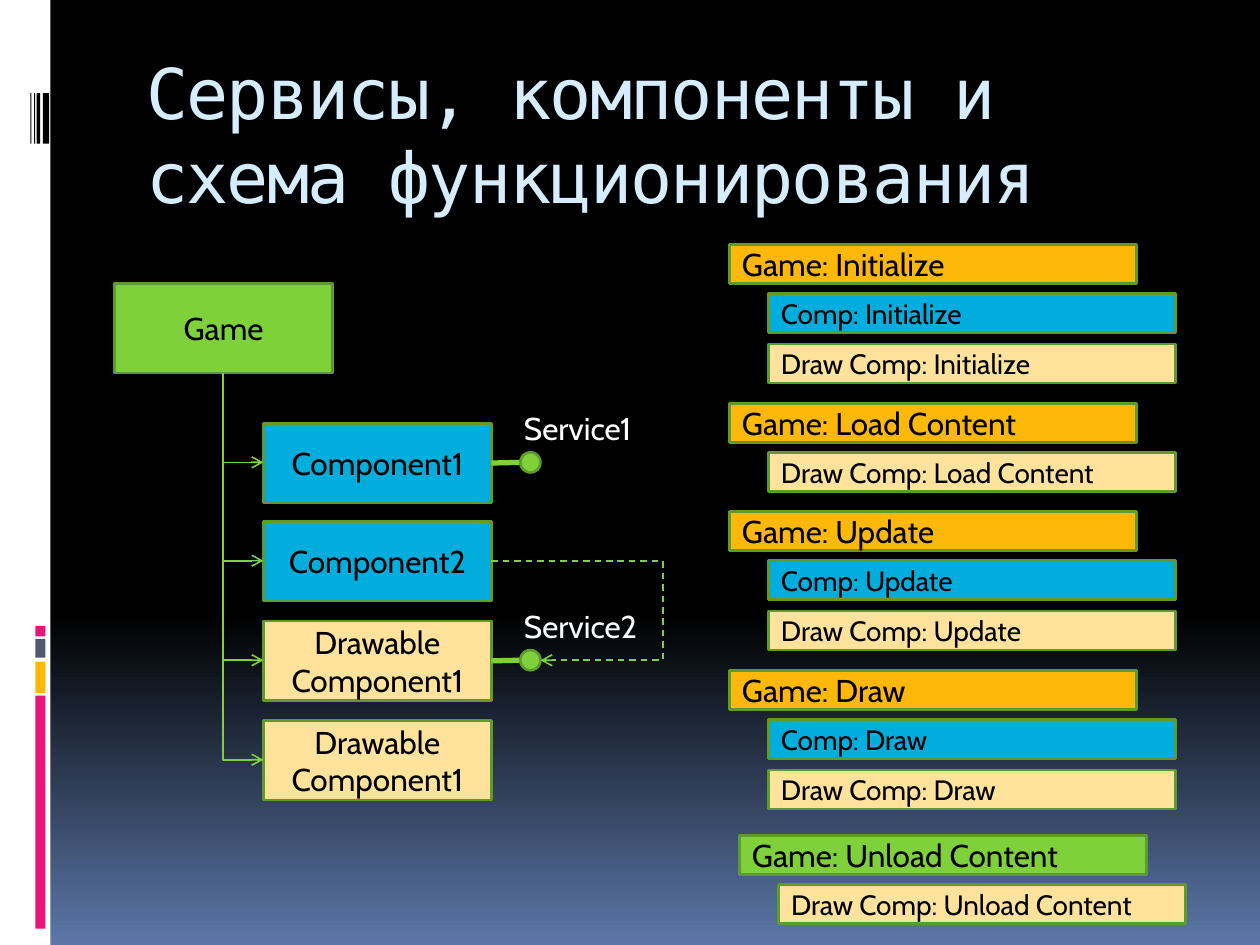
from copy import deepcopy

from lxml.etree import SubElement
from pptx import Presentation
from pptx.dml.color import RGBColor
from pptx.enum.dml import MSO_LINE
from pptx.enum.shapes import MSO_CONNECTOR as LINK, MSO_SHAPE as SHAPE
from pptx.enum.text import MSO_ANCHOR as ANCHOR, PP_ALIGN as ALIGN
from pptx.oxml.ns import qn
from pptx.util import Pt

PX = 9144  # 100 px to the inch
COLORS = {
    "white": "FFFFFF", "black": "000000", "sky": "5B77A8", "title": "D6ECFF",
    "pink": "EA157A", "amber": "FEB80A", "slate": "4E5B6F", "green": "7FD13B",
    "outline": "5E9B2C", "blue": "00ADDC", "cream": "FFE39D",
}


def color(name):
    return RGBColor.from_string(COLORS[name])


def write(shape, text, font="Cabin", size=18, ink="black", align=ALIGN.LEFT,
          anchor=ANCHOR.MIDDLE, spacing=None):
    frame = shape.text_frame
    frame.word_wrap = True
    frame.vertical_anchor = anchor
    frame.text = text
    for para in frame.paragraphs:
        para.alignment = align
        for span in para.runs:
            span.font.name = font
            span.font.size = Pt(size)
            span.font.color.rgb = color(ink)
            if spacing is not None:
                span.font._element.set("spc", str(spacing))


def add_block(page, left, top, width, height, fill, kind=SHAPE.RECTANGLE, line="outline"):
    block = page.shapes.add_shape(kind, left * PX, top * PX, width * PX, height * PX)
    block.shadow.inherit = False
    block.fill.solid()
    block.fill.fore_color.rgb = color(fill)
    if line:
        block.line.color.rgb = color(line)
        block.line.width = Pt(1.5)
    else:
        block.line.fill.background()
    return block


def add_link(page, start, end, kind=LINK.STRAIGHT, width=0.94, bend=None, dash=None):
    """Draw a link; bend is the place of an elbow's turn, in 1/1000 % of its width."""
    link = page.shapes.add_connector(kind, *(value * PX for value in (*start, *end)))
    link.line.color.rgb = color("green")
    link.line.width = Pt(width)
    if dash:
        link.line.dash_style = dash
    properties = link._element.spPr
    if bend is not None:
        guides = properties.find(qn("a:prstGeom")).get_or_add_avLst()
        SubElement(guides, qn("a:gd"), name="adj1", fmla=f"val {bend}")
        SubElement(properties.find(qn("a:ln")), qn("a:tailEnd"), type="arrow")
    SubElement(properties, qn("a:effectLst"))
    return link


def paint_background(page):
    fill = page.background.fill
    fill.gradient()
    fill.gradient_angle = 270
    first, last = fill.gradient_stops
    first.color.rgb, first.position = color("black"), 0
    last.color.rgb, last.position = color("sky"), 1
    stops = page._element.find(".//" + qn("a:gsLst"))
    middle = deepcopy(stops[0])
    middle.set("pos", "65000")
    stops.insert(1, middle)


def add_side_strip(page, left, top, width, height):
    add_block(page, left, top, width, height, "white", line=None)
    # Coloured bars
    for y, tall, fill in ((552, 185, "pink"), (525, 25, "amber"),
                          (507, 15, "slate"), (497, 8, "pink")):
        add_block(page, left + 28, top + y, 8, tall, fill, line=None)
    # Black stripes
    for x, wide in ((34, 5), (29, 3), (27, 1), (24, 1)):
        add_block(page, left + x, top + 74, wide, 40, "black", line=None)


def add_title(page, left, top, width, height):
    title = page.shapes.title
    title.left, title.top, title.width, title.height = (
        value * PX for value in (left, top, width, height))
    write(title, "Сервисы, компоненты и схема функционирования",
          font="DejaVu Sans Mono", size=40, ink="title", spacing=-100)


def add_service(page, component, left, middle, name):
    stem = add_link(page, (left - 23, middle), (left, middle), width=3)
    stem.begin_connect(component, 3)
    add_block(page, left, middle - 8, 16, 16, "green", kind=SHAPE.OVAL)
    label = page.shapes.add_textbox((left - 7) * PX, (middle - 47) * PX, 126 * PX, 40 * PX)
    write(label, name, ink="white", anchor=ANCHOR.TOP)


def add_component_tree(page, left, top):
    game = add_block(page, left, top, 173, 71, "green")
    write(game, "Game", align=ALIGN.CENTER)
    trunk = (left + 86, top + 71)
    box_left, box_width, box_height = left + 118, 181, 63
    right = box_left + box_width
    components = (("Component1", "blue", "Service1"), ("Component2", "blue", None),
                  ("Drawable\nComponent1", "cream", "Service2"),
                  ("Drawable\nComponent1", "cream", None))
    middles = []
    for index, (name, fill, service) in enumerate(components):
        box_top = top + 111 + index * 236 // 3
        middles.append(box_top + box_height // 2)
        box = add_block(page, box_left, box_top, box_width, box_height, fill)
        write(box, name, align=ALIGN.CENTER)
        add_link(page, trunk, (box_left, middles[-1]), LINK.ELBOW, bend=0)
        if service:
            add_service(page, box, right + 23, middles[-1], service)
    # Component2 uses Service2
    add_link(page, (right, middles[1]), (right + 39, middles[2]), LINK.ELBOW,
             bend=348700, dash=MSO_LINE.DASH)


def add_stage(page, left, top, stage, fill, parts):
    rows = [("Game", fill, 0, 18)]
    rows += [(part, part_fill, 31, 16) for part, part_fill in parts]
    for index, (owner, row_fill, indent, size) in enumerate(rows):
        row = add_block(page, left + indent, top + index * 79 // 2, 323, 31, row_fill)
        write(row, f"{owner}: {stage}", size=size)


def main():
    deck = Presentation()
    deck.slide_width, deck.slide_height = 1000 * PX, 750 * PX
    page = deck.slides.add_slide(deck.slide_layouts[5])
    paint_background(page)
    add_side_strip(page, 0, 0, 40, 750)
    add_title(page, 106, 29, 850, 154)
    add_component_tree(page, 91, 225)

    # Life cycle of the game
    drawable = [("Draw Comp", "cream")]
    both = [("Comp", "blue")] + drawable
    for left, top, stage, fill, parts in (
            (579, 194, "Initialize", "amber", both),
            (579, 320, "Load Content", "amber", drawable),
            (579, 406, "Update", "amber", both),
            (579, 532, "Draw", "amber", both),
            (587, 663, "Unload Content", "green", drawable)):
        add_stage(page, left, top, stage, fill, parts)
    deck.save("out.pptx")


if __name__ == "__main__":
    main()
